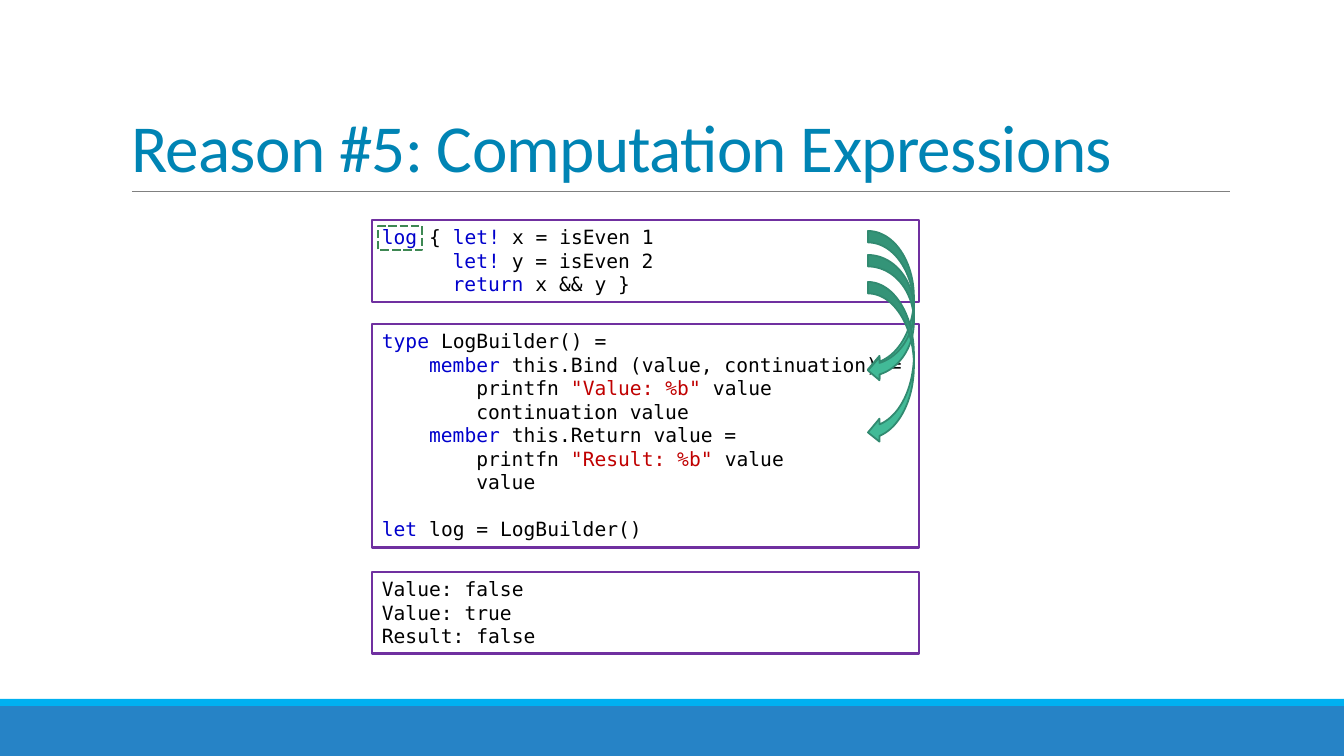
import pptx
import pptx.dml.color
import pptx.enum.dml
import pptx.enum.shapes
import pptx.enum.text
import pptx.oxml.ns
import pptx.util
from lxml import etree

EMU_PER_PX = 914400 / 100.8
CODE_FONT = "DejaVu Sans Mono"
CODE_SIZE = 14
CHAR_WIDTH = 8.43  # points, one monospaced character
LINE_HEIGHT = 16.8  # points
PLAIN, KEYWORD, STRING = "000000", "0000CC", "C00000"
SHAPES = pptx.enum.shapes.MSO_SHAPE

# Each line of code: indent in characters, blank lines above, coloured pieces.
USAGE = [
    (0, 0, [("log ", KEYWORD), ("{ ", PLAIN), ("let! ", KEYWORD), ("x = isEven 1", PLAIN)]),
    (6, 0, [("let! ", KEYWORD), ("y = isEven 2", PLAIN)]),
    (6, 0, [("return", KEYWORD), (" x && y }", PLAIN)]),
]
BUILDER = [
    (0, 0, [("type ", KEYWORD), ("LogBuilder() =", PLAIN)]),
    (4, 0, [("member ", KEYWORD), ("this.Bind (value, continuation) =", PLAIN)]),
    (8, 0, [("printfn ", PLAIN), ('"Value: %b"', STRING), (" value", PLAIN)]),
    (8, 0, [("continuation value", PLAIN)]),
    (4, 0, [("member ", KEYWORD), ("this.Return value =", PLAIN)]),
    (8, 0, [("printfn ", PLAIN), ('"Result: %b" ', STRING), ("value", PLAIN)]),
    (8, 0, [("value", PLAIN)]),
    (0, 1, [("let", KEYWORD), (" log = LogBuilder()", PLAIN)]),
]
OUTPUT = [(0, 0, [(text, PLAIN)]) for text in ("Value: false", "Value: true", "Result: false")]


def px(length):
    return pptx.util.Emu(round(length * EMU_PER_PX))


def colour(value):
    return pptx.dml.color.RGBColor.from_string(value)


def add_box(page, kind, left, top, width, height, fill=None, line=None, weight=1):
    box = page.shapes.add_shape(kind, px(left), px(top), px(width), px(height))
    box.shadow.inherit = False
    if fill:
        box.fill.solid()
        box.fill.fore_color.rgb = colour(fill)
    else:
        box.fill.background()
    if line:
        box.line.color.rgb = colour(line)
        box.line.width = pptx.util.Pt(weight)
    else:
        box.line.fill.background()
    return box


def add_footer_bands(page, left, top, width, height):
    """Draw a thin bright band above a deep blue one."""
    stripe = 7
    add_box(page, SHAPES.RECTANGLE, left, top + stripe, width, height - stripe, "2683C6")
    add_box(page, SHAPES.RECTANGLE, left, top, width, stripe, "00B0F0")


def add_title(page, left, top, width, height):
    """Place the title and the rule along its bottom edge."""
    title = page.shapes.title
    title.left, title.top, title.width, title.height = map(px, (left, top, width, height))
    frame = title.text_frame
    frame.text = "Reason #5: Computation Expressions"
    frame.word_wrap = True
    frame.auto_size = pptx.enum.text.MSO_AUTO_SIZE.NONE
    frame.vertical_anchor = pptx.enum.text.MSO_ANCHOR.BOTTOM
    para = frame.paragraphs[0]
    para.alignment = pptx.enum.text.PP_ALIGN.LEFT
    para.line_spacing = 0.85
    span = para.runs[0]
    span.font.name = "Calibri"
    span.font.size = pptx.util.Pt(48)
    span.font.color.rgb = colour("0084B4")
    span.font._element.set("spc", "-50")

    bottom = px(top + height)
    rule = page.shapes.add_connector(
        pptx.enum.shapes.MSO_CONNECTOR.STRAIGHT, px(left + 11), bottom, px(left + width), bottom)
    rule.line.color.rgb = colour("808080")
    rule.line.width = pptx.util.Pt(0.5)
    etree.SubElement(rule._element.spPr, pptx.oxml.ns.qn("a:effectLst"))


def add_code(page, lines, left, top, width, height):
    box = add_box(page, SHAPES.RECTANGLE, left, top, width, height, "FFFFFF", "7030A0", 2)
    frame = box.text_frame
    frame.word_wrap = True
    frame.vertical_anchor = pptx.enum.text.MSO_ANCHOR.TOP
    for number, (indent, blank_lines, pieces) in enumerate(lines):
        para = frame.add_paragraph() if number else frame.paragraphs[0]
        para.alignment = pptx.enum.text.PP_ALIGN.LEFT
        para.space_before = pptx.util.Pt(blank_lines * LINE_HEIGHT)
        para._p.get_or_add_pPr().set("marL", str(pptx.util.Pt(indent * CHAR_WIDTH)))
        for text, tint in pieces:
            span = para.add_run()
            span.text = text
            span.font.name = CODE_FONT
            span.font.size = pptx.util.Pt(CODE_SIZE)
            span.font.color.rgb = colour(tint)


def add_call_arrow(page, left, top, width, height):
    """Draw an arrow that bulges right and points back to the left."""
    arrow = add_box(page, SHAPES.CURVED_RIGHT_ARROW, left, top, width, height,
                    "42BA97", "318A70", 1.25)
    arrow._element.spPr.xfrm.set("flipH", "1")


def add_builder_highlight(page, left, top, width, height):
    frame = add_box(page, SHAPES.RECTANGLE, left, top, width, height, line="3E8853", weight=2)
    frame.line.dash_style = pptx.enum.dml.MSO_LINE.SQUARE_DOT


def add_code_column(page, left, top, width):
    """Stack the three code boxes, then mark how the calls map to members."""
    add_code(page, BUILDER, left, top + 104, width, 224)
    add_code(page, OUTPUT, left, top + 352, width, 82)
    add_code(page, USAGE, left, top, width, 82)
    for offset, height in ((11, 150), (35, 127), (62, 162)):
        add_call_arrow(page, left + 496, top + offset, 46, height)
    add_builder_highlight(page, left + 6, top + 6, 44, 24)


def main():
    deck = pptx.Presentation()
    deck.slide_width, deck.slide_height = px(1344), px(756)
    page = deck.slides.add_slide(deck.slide_layouts.get_by_name("Title Only"))
    add_footer_bands(page, 0, 699, 1344, 57)
    add_title(page, 121, 31, 1109, 160)
    add_code_column(page, 372, 220, 547)
    deck.save("out.pptx")


if __name__ == "__main__":
    main()
